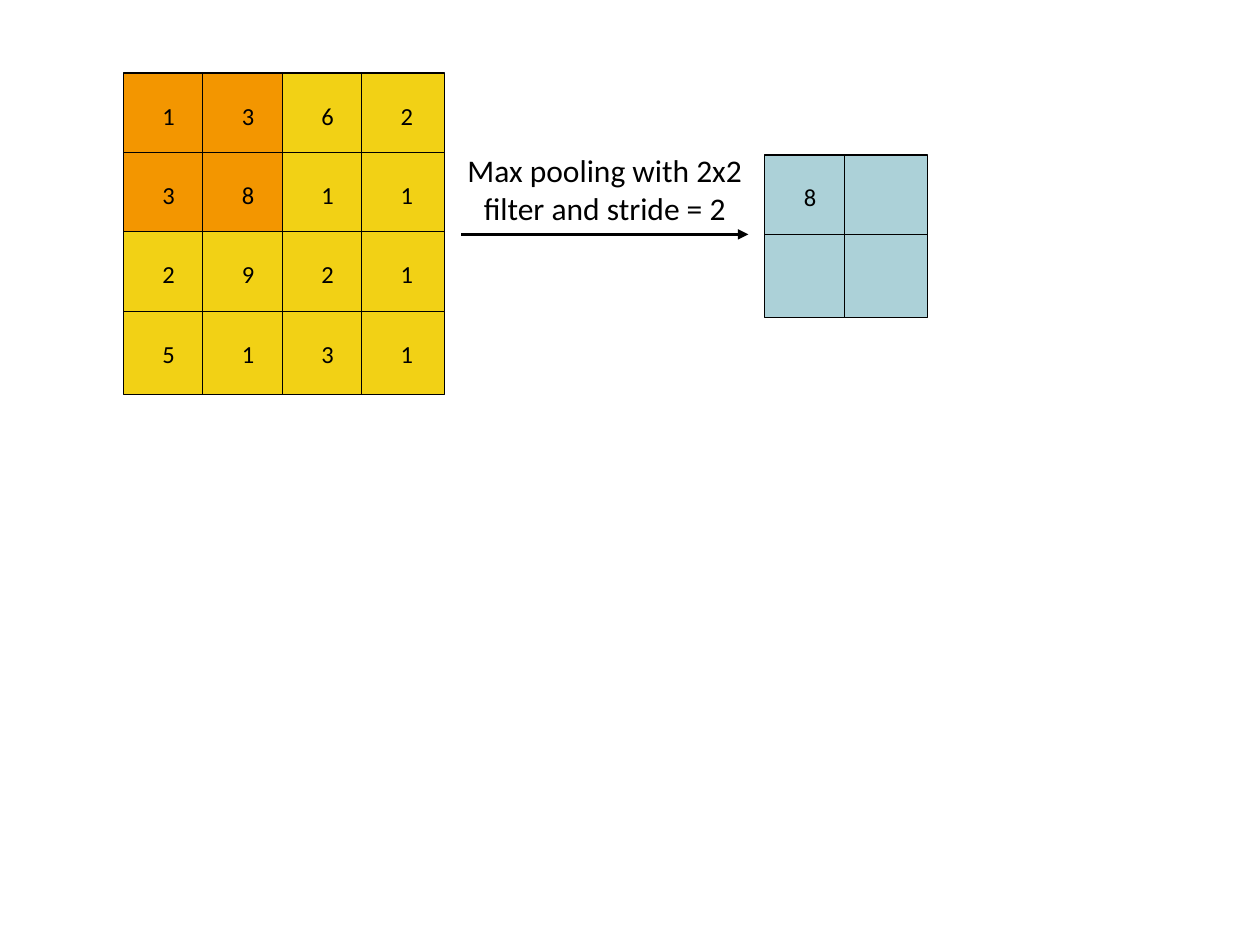
from lxml.etree import SubElement
from pptx import Presentation
from pptx.dml.color import RGBColor
from pptx.enum.shapes import MSO_CONNECTOR, MSO_SHAPE
from pptx.enum.text import MSO_ANCHOR, MSO_AUTO_SIZE, PP_ALIGN
from pptx.oxml.ns import qn
from pptx.util import Inches, Pt

FONT = "Calibri"
BLACK, ORANGE, YELLOW, BLUE = "000000", "F39600", "F2D115", "ACD1D8"
PITCH, CELL = 0.63, 0.66
FILTER = 2
INPUT_VALUES = ["1362", "3811", "2921", "5131"]
POOLED_VALUES = ["8 ", "  "]


def color(hex_code):
    """Turn a hex string into a colour."""
    return RGBColor.from_string(hex_code)


def write(frame, text, size):
    """Put centred black text in a text frame."""
    frame.word_wrap = True
    frame.text = text
    paragraph = frame.paragraphs[0]
    paragraph.alignment = PP_ALIGN.CENTER
    for run in paragraph.runs:
        run.font.name = FONT
        run.font.size = Pt(size)
        run.font.color.rgb = color(BLACK)


def add_cell(slide, left, top, value, fill):
    """Draw one square of a matrix with its value."""
    cell = slide.shapes.add_shape(
        MSO_SHAPE.RECTANGLE, Inches(left), Inches(top), Inches(CELL), Inches(CELL)
    )
    cell.shadow.inherit = False
    cell.fill.solid()
    cell.fill.fore_color.rgb = color(fill)
    cell.line.color.rgb = color(BLACK)
    cell.line.width = Pt(0)
    if value.strip():
        frame = cell.text_frame
        frame.margin_left = frame.margin_right = Inches(0.31)
        frame.margin_top, frame.margin_bottom = Inches(0.06), Inches(0.05)
        frame.vertical_anchor = MSO_ANCHOR.MIDDLE
        write(frame, value, 14)


def add_matrix(slide, left, top, rows, fill, window_fill):
    """Draw a matrix whose first pooling window has its own fill."""
    for r, row in enumerate(rows):
        for c, value in enumerate(row):
            in_window = max(r, c) < FILTER
            add_cell(slide, left + c * PITCH, top + r * PITCH, value,
                     window_fill if in_window else fill)


def add_arrow(slide, start, end, y):
    """Draw a horizontal arrow."""
    arrow = slide.shapes.add_connector(
        MSO_CONNECTOR.STRAIGHT, Inches(start), Inches(y), Inches(end), Inches(y)
    )
    arrow.line.color.rgb = color(BLACK)
    arrow.line.width = Pt(2)
    SubElement(arrow.line._get_or_add_ln(), qn("a:tailEnd"), type="triangle")
    SubElement(arrow._element.spPr, qn("a:effectLst"))


def add_label(slide, left, top, width, height, text):
    """Write the name of the operation above the arrow."""
    label = slide.shapes.add_textbox(
        Inches(left), Inches(top), Inches(width), Inches(height)
    )
    write(label.text_frame, text, 18)
    label.text_frame.auto_size = MSO_AUTO_SIZE.SHAPE_TO_FIT_TEXT


def main():
    """Build the max pooling slide."""
    deck = Presentation()
    deck.slide_width, deck.slide_height = Inches(10), Inches(7.5)
    slide = deck.slides.add_slide(deck.slide_layouts[6])
    add_matrix(slide, 0.98, 0.58, INPUT_VALUES, YELLOW, ORANGE)
    add_matrix(slide, 6.07, 1.23, POOLED_VALUES, BLUE, BLUE)
    add_arrow(slide, 3.66, 5.94, 1.86)
    add_label(slide, 3.58, 1.15, 2.44, 0.7, "Max pooling with 2x2 filter and stride = 2")
    deck.save("out.pptx")


if __name__ == "__main__":
    main()
